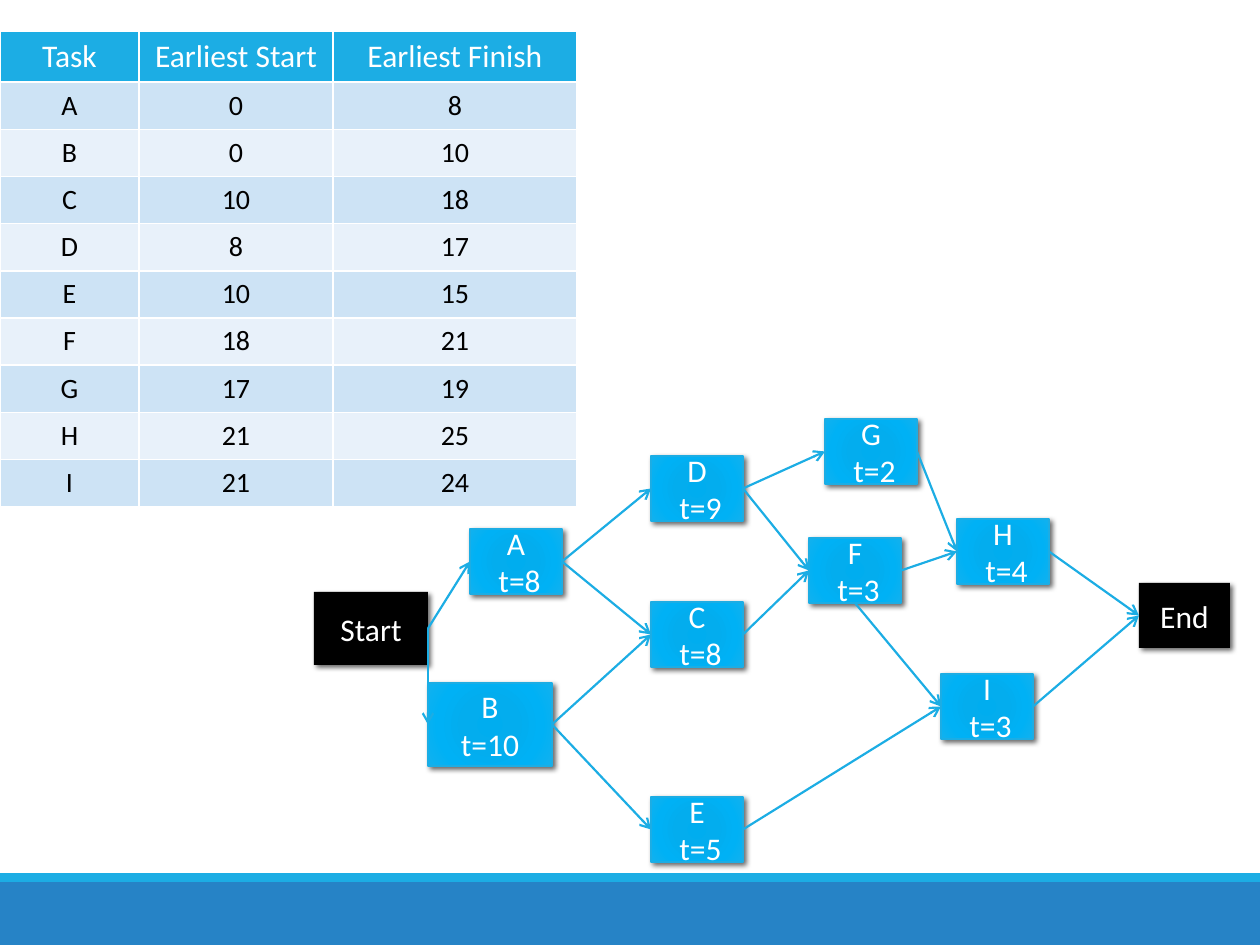
"""Build a slide with a task schedule table and its activity network."""
import pptx
import pptx.dml.color
import pptx.enum.shapes
import pptx.enum.text
import pptx.oxml
import pptx.oxml.ns
import pptx.util

PX = pptx.util.Inches(1) / 126
TOP, LEFT, BOTTOM, RIGHT = range(4)
CENTER = pptx.enum.text.PP_ALIGN.CENTER
RECTANGLE = pptx.enum.shapes.MSO_SHAPE.RECTANGLE
STRAIGHT = pptx.enum.shapes.MSO_CONNECTOR.STRAIGHT
NAMESPACE = pptx.oxml.ns.nsdecls("a")
SHADOW = (
    f'<a:outerShdw {NAMESPACE} blurRad="38100" dist="25400" dir="2700000" rotWithShape="0">'
    '<a:srgbClr val="000000"><a:alpha val="60000"/></a:srgbClr></a:outerShdw>'
)
STOPS = "".join(
    f'<a:gs pos="{percent * 1000}"><a:srgbClr val="{color}"/></a:gs>'
    for percent, color in [(0, "00ADEF"), (34, "03ADEE"), (70, "00B1F5"), (100, "12B1EE")]
)
GRADIENT = (
    f'<a:gradFill {NAMESPACE} rotWithShape="1"><a:gsLst>{STOPS}</a:gsLst><a:path path="circle">'
    '<a:fillToRect l="100000" t="100000" r="100000" b="100000"/></a:path></a:gradFill>'
)


def rgb(color):
    return pptx.dml.color.RGBColor.from_string(color)


def style_paragraph(para, size, color):
    para.alignment = CENTER
    para.font.name = "Calibri"
    para.font.size = pptx.util.Pt(size)
    para.font.bold = False
    para.font.color.rgb = rgb(color)


deck = pptx.Presentation()
deck.slide_width = pptx.util.Inches(10)
deck.slide_height = pptx.util.Inches(7.5)
page = deck.slides.add_slide(deck.slide_layouts[6])

for top, height, color in [(882, 63, "2683C6"), (873, 9, "1CADE4")]:
    band = page.shapes.add_shape(RECTANGLE, 0, int(top * PX), deck.slide_width, int(height * PX))
    band.shadow.inherit = False
    band.fill.solid()
    band.fill.fore_color.rgb = rgb(color)
    band.line.fill.background()

schedule = [
    ("Task", "Earliest Start", "Earliest Finish"),
    ("A", 0, 8),
    ("B", 0, 10),
    ("C", 10, 18),
    ("D", 8, 17),
    ("E", 10, 15),
    ("F", 18, 21),
    ("G", 17, 19),
    ("H", 21, 25),
    ("I", 21, 24),
]
widths = [139, 194, 244]
table = page.shapes.add_table(
    len(schedule), len(widths), 0, int(31 * PX), int(sum(widths) * PX), int(472 * PX)
).table
for column, width in zip(table.columns, widths):
    column.width = int(width * PX)
for row, values in enumerate(schedule):
    if row == 0:
        fill, size, color = "1CADE4", 18, "FFFFFF"
    else:
        fill, size, color = "CDE3F5" if row % 2 else "E8F1FA", 16, "000000"
    for column, value in enumerate(values):
        cell = table.cell(row, column)
        cell.text = str(value)
        cell.fill.solid()
        cell.fill.fore_color.rgb = rgb(fill)
        style_paragraph(cell.text_frame.paragraphs[0], size, color)

nodes = [
    ("E", " t=5", 651, 797, 92, 65),
    ("A", " t=8", 470, 529, 92, 65),
    ("B", "t=10", 428, 683, 124, 83),
    ("C", " t=8", 651, 602, 92, 65),
    ("D", " t=9", 651, 456, 92, 65),
    ("F", " t=3", 809, 538, 92, 65),
    ("G", " t=2", 825, 419, 92, 65),
    ("H", " t=4", 957, 519, 92, 65),
    ("I", " t=3", 941, 674, 92, 65),
    ("Start", None, 314, 592, 114, 73),
    ("End", None, 1139, 583, 91, 65),
]
boxes = {}
for name, duration, *frame in nodes:
    box = page.shapes.add_shape(RECTANGLE, *[int(length * PX) for length in frame])
    boxes[name] = box
    box.shadow.inherit = False
    box._element.spPr.find(pptx.oxml.ns.qn("a:effectLst")).append(pptx.oxml.parse_xml(SHADOW))
    if duration:
        box.fill.background()
        plain = box._element.spPr.find(pptx.oxml.ns.qn("a:noFill"))
        plain.getparent().replace(plain, pptx.oxml.parse_xml(GRADIENT))
        box.line.color.rgb = rgb("1CADE4")
        box.line.width = pptx.util.Pt(1)
    else:
        box.fill.solid()
        box.fill.fore_color.rgb = rgb("000000")
        box.line.fill.background()
    box.text_frame.text = f"{name}\n{duration}" if duration else name
    box.text_frame.vertical_anchor = pptx.enum.text.MSO_ANCHOR.MIDDLE
    for para in box.text_frame.paragraphs:
        style_paragraph(para, 18, "FFFFFF")

links = [
    ("A", "C"), ("B", "C"), ("A", "D"), ("B", "E"), ("D", "F"), ("C", "F"),
    ("D", "G"), ("G", "H"), ("F", "H"), ("F", "I"), ("E", "I"),
    ("Start", "A"), ("Start", "B"), ("H", "End"), ("I", "End"),
]
for source, target in links:
    arrow = page.shapes.add_connector(STRAIGHT, 0, 0, 0, 0)
    arrow.begin_connect(boxes[source], BOTTOM if (source, target) == ("F", "I") else RIGHT)
    arrow.end_connect(boxes[target], LEFT)
    arrow.line.color.rgb = rgb("1CADE4")
    arrow.line.width = pptx.util.Pt(1.25)
    properties = arrow._element.spPr
    properties.find(pptx.oxml.ns.qn("a:ln")).append(
        pptx.oxml.parse_xml(f'<a:tailEnd {NAMESPACE} type="arrow"/>')
    )
    properties.append(pptx.oxml.parse_xml(f"<a:effectLst {NAMESPACE}/>"))

deck.save("out.pptx")
